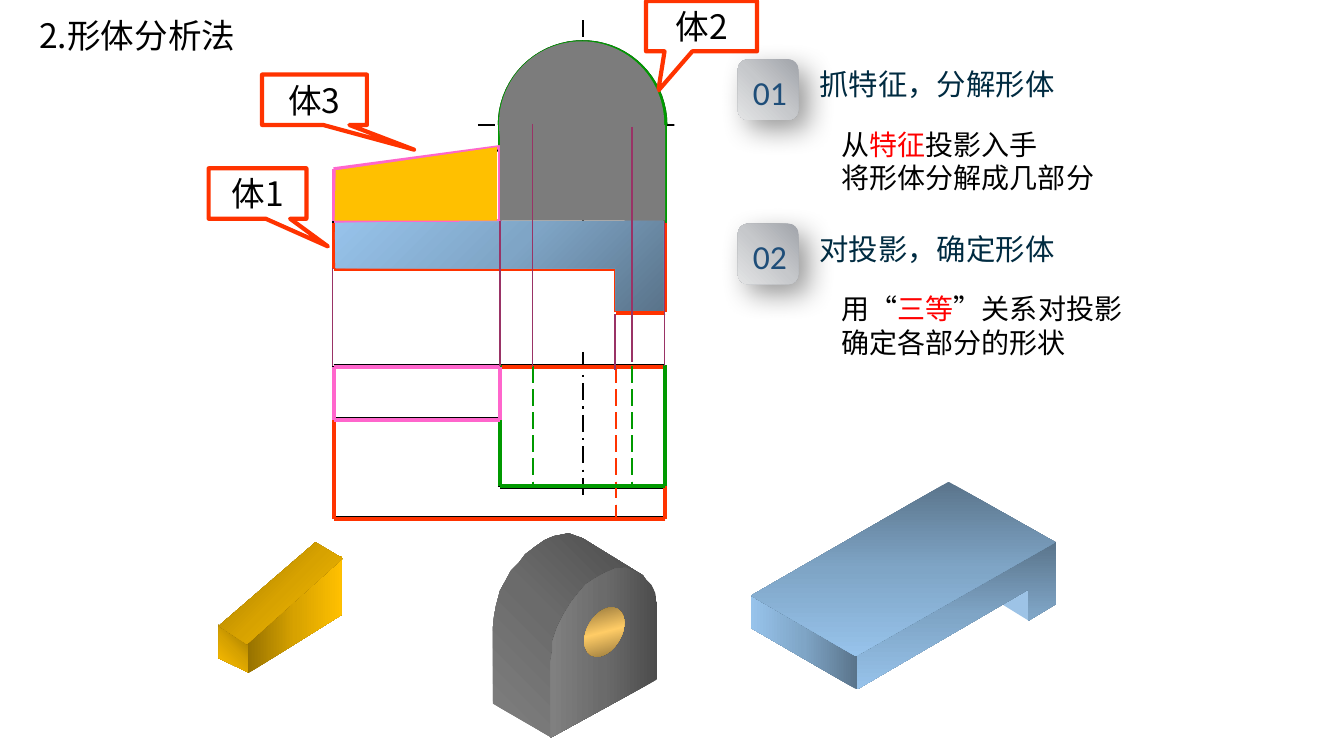
import math
from dataclasses import dataclass
from typing import Any

import pptx
import pptx.dml.color
import pptx.enum.dml
import pptx.enum.shapes
import pptx.enum.text
import pptx.oxml.ns
import pptx.oxml.xmlchemy
import pptx.util

Point = tuple[float, float]
Box = tuple[float, float, float, float]
Line = list[tuple[str, str]]
SHAPE = pptx.enum.shapes.MSO_SHAPE
DASH = pptx.enum.dml.MSO_LINE_DASH_STYLE
ANCHOR = pptx.enum.text.MSO_ANCHOR
ALIGN = pptx.enum.text.PP_ALIGN
FIT = pptx.enum.text.MSO_AUTO_SIZE
qn = pptx.oxml.ns.qn
NAMESPACE = pptx.oxml.ns.nsdecls("a")


@dataclass(frozen=True)
class Gradient:
    colors: tuple[str, str, str]
    angle: int = 0
    focus: str = ""  # sides of the corner a circular gradient starts from


@dataclass(frozen=True)
class Theme:
    ink, paper, keyword, heading, number = "000000", "FFFFFF", "FF0000", "002B41", "1F4E79"
    base, arch, rib, guide, projection = "FF3300", "009900", "FF66CC", "9933FF", "993366"
    arch_fill, rib_fill, notch_fill = "7C7C7C", "FFC000", "9DC3E6"
    grey, gold = ("4C4C4C", "6B6B6B", "808080"), ("977200", "D7A200", "FFC000")
    blue, brass = ("5A748B", "7FA5C6", "97C3EB"), ("765E2F", "FFCC66", "765E2F")
    silver = ("A1A4AA", "C6C8CB", "E3E4E5")
    cjk, latin = "Noto Sans CJK SC", "Calibri"
    title_size, heading_size, body_size = 24, 21, 20
    thick, dashed, thin = 3, 1.5, 1


@dataclass(frozen=True)
class Outline:
    color: str
    chain: list[Point]
    closed: bool = True
    dashes: tuple[float, ...] = ()  # columns of hidden edges
    arc: bool = False
    shift: float = 0  # rows the coloured edges move from the ink


@dataclass(frozen=True)
class Callout:
    text: str
    box: Box
    tip: Point


@dataclass(frozen=True)
class Face:
    points: list[Point]
    fill: str | Gradient


@dataclass(frozen=True)
class Step:
    number: str
    heading: str
    lines: list[Line]


THEME = Theme()
CELL = 0.1  # inches per grid column and row
COLUMNS, ROWS, STEP_PITCH, RADIUS = 133.33, 75, 16.3, 8.2
LEFT, SHELF, HOLE_LEFT, AXIS, NOTCH, HOLE_RIGHT, RIGHT = 33.1, 49.6, 52.9, 57.8, 61.1, 62.7, 66
ARCH, BASE, UNDER, FOOT = 12.4, 22.1, 26.7, 31
BACK, RIB_FRONT, ARCH_FRONT, FRONT = 36.3, 41.6, 48.3, 51.4
VIEWS = [
    Outline(THEME.base, [(LEFT, BASE), (RIGHT, BASE), (RIGHT, FOOT), (NOTCH, FOOT), (NOTCH, UNDER), (LEFT, UNDER)]),
    Outline(THEME.base, [(LEFT, BACK), (RIGHT, BACK), (RIGHT, FRONT), (LEFT, FRONT)], dashes=(NOTCH,), shift=0.1),
    Outline(THEME.arch, [(SHELF, ARCH), (SHELF, BASE), (RIGHT, BASE), (RIGHT, ARCH)], closed=False, arc=True),
    Outline(THEME.arch, [(SHELF, BACK), (SHELF, ARCH_FRONT), (RIGHT, ARCH_FRONT), (RIGHT, BACK)], closed=False,
            dashes=(HOLE_LEFT, HOLE_RIGHT), shift=-0.1),
    Outline(THEME.rib, [(LEFT, 17), (SHELF, 14.8), (SHELF, BASE), (LEFT, BASE)], shift=-0.2),
    Outline(THEME.rib, [(LEFT, BACK), (SHELF, BACK), (SHELF, RIB_FRONT), (LEFT, RIB_FRONT)], shift=0.1)]
CALLOUTS = [Callout("体1", (20.7, 16.7, 9.7, 5), (0.72, 1.05)), Callout("体2", (64.1, 0.1, 11, 5), (-0.39, 1.28)),
            Callout("体3", (26, 7.4, 10.4, 5), (0.95, 0.99))]
ARCH_SOLID = [
    Face([(54.6, 73.1), (48.9, 69.8), (48.9, 62.2), (49, 61.2), (49.2, 60.1), (49.6, 58.6), (50.1, 57.7), (50.7, 56.6),
          (51.5, 55.8), (52.1, 55), (53, 54.3), (54, 53.6), (54.9, 53.2), (56.4, 52.9), (57.8, 53.4), (63.8, 57.1),
          (63, 56.7), (61.8, 56.5), (61, 56.6), (60.3, 57), (59.4, 57.4), (58.6, 58), (58, 58.5), (57.4, 59.3),
          (56.6, 60), (56.1, 60.9), (55.5, 62.1), (55, 63.7), (54.8, 64.8), (54.7, 65.8)],
         Gradient(THEME.grey, focus="lb")),
    Face([(54.6, 73.2), (65.2, 67.4), (65.2, 59.9), (65, 58.8), (64.6, 58), (64.1, 57.5), (63.7, 57), (63.1, 56.7),
          (62.1, 56.3), (61, 56.4), (59.9, 56.9), (59, 57.4), (58.1, 58), (57.5, 58.7), (56.7, 59.7), (55.9, 61),
          (55.3, 62.2), (54.8, 63.7), (54.8, 64.6), (54.6, 65.7)], Gradient(THEME.grey, 180))]
RIB_SOLID = [Face([(33.9, 55.2), (33.9, 61), (24.6, 66.8), (24.6, 63.6)], Gradient(THEME.gold, 0)),
             Face([(21.7, 62), (24.6, 63.8), (24.6, 66.7), (21.7, 65.3)], Gradient(THEME.gold, 135)),
             Face([(21.7, 62.1), (24.5, 63.9), (34, 55.4), (31.3, 53.8)], Gradient(THEME.gold, 45))]
BASE_SOLID = [
    Face([(99.5, 60), (102.1, 61.6), (102.1, 58.4)], THEME.notch_fill),
    Face([(74.5, 59), (85, 65.1), (85, 68.4), (74.5, 62.3)], Gradient(THEME.blue, 180)),
    Face([(85, 64.9), (85, 68.4), (102, 58.5), (102, 61.6), (104.8, 59.9), (104.8, 53.7)], Gradient(THEME.blue, 90)),
    Face([(74.5, 59.1), (94.1, 47.8), (104.7, 53.8), (84.9, 65.1)], Gradient(THEME.blue, 90))]
BASE_FACE = Face([(33.3, 26.6), (33.2, 22.1), (65.8, 21.9), (65.8, 30.8), (61.1, 30.8), (61.1, 26.6)],
                 Gradient(THEME.blue, focus="lt"))
RIB_FACE = Face([(33.3, 16.9), (49.3, 14.6), (49.3, 21.9), (33.2, 21.9)], THEME.rib_fill)
PROJECTIONS = [(33, 26.6, BACK), (61, 31.2, 36.7), (SHELF, 21.9, BACK), (65.9, 21.9, BACK),
               (52.8, 12.3, 36.4), (HOLE_RIGHT, 12.6, 35.9)]
STEPS = [Step("01", "抓特征，分解形体", [[("从", THEME.ink), ("特征", THEME.keyword), ("投影入手", THEME.ink)],
                                 [("将形体分解成几部分", THEME.ink)]]),
         Step("02", "对投影，确定形体", [[("用“", THEME.ink), ("三等", THEME.keyword), ("”关系对投影", THEME.ink)],
                                 [("确定各部分的形状", THEME.ink)]])]


def grid(cells: float) -> int:
    return pptx.util.Inches(round(cells * CELL, 3))


def rgb(color: str) -> pptx.dml.color.RGBColor:
    return pptx.dml.color.RGBColor.from_string(color)


def assign(target: Any, formats: dict[str, Any]) -> None:
    for name, value in formats.items():
        setattr(target, name, value)


def paint(part: Any, fill: str | Gradient | None, edge: str | None = None) -> None:
    part.shadow.inherit = False
    part.line.fill.background()
    if edge:
        part.line.color.rgb = rgb(edge)
        part.line.width = pptx.util.Pt(THEME.thick)
    part.fill.background()
    if isinstance(fill, str):
        part.fill.solid()
        part.fill.fore_color.rgb = rgb(fill)
    elif fill:
        stops = "".join(f'<a:gs pos="{50000 * i}"><a:srgbClr val="{c}"/></a:gs>' for i, c in enumerate(fill.colors))
        sides = " ".join(f'{side}="100000"' for side in fill.focus)
        course = (f'<a:path path="circle"><a:fillToRect {sides}/></a:path>' if sides
                  else f'<a:lin ang="{fill.angle * 60000}" scaled="0"/>')
        props = part.element.spPr
        props.replace(props.find(qn("a:noFill")), pptx.oxml.parse_xml(
            f'<a:gradFill {NAMESPACE} rotWithShape="1"><a:gsLst>{stops}</a:gsLst>{course}</a:gradFill>'))


def draw_line(shapes: Any, start: Point, end: Point, color: str, width: float, dash: Any = None) -> None:
    edge = shapes.add_connector(pptx.enum.shapes.MSO_CONNECTOR.STRAIGHT, *map(grid, start + end))
    edge.line.color.rgb = rgb(color)
    assign(edge.line, {"width": pptx.util.Pt(width), "dash_style": dash})
    edge.element.spPr.append(pptx.oxml.xmlchemy.OxmlElement("a:effectLst"))


def draw_path(shapes: Any, points: list[Point], fill: str | Gradient | None, edge: str | None = None) -> None:
    corners = [(grid(x), grid(y)) for x, y in points]
    builder = shapes.build_freeform(*corners[0])
    builder.add_line_segments(corners[1:], close=fill is not None)
    paint(builder.convert_to_shape(), fill, edge)


def draw_preset(shapes: Any, kind: Any, box: Box, fill: str | Gradient, edge: str | None = None) -> Any:
    part = shapes.add_shape(kind, *map(grid, box))
    paint(part, fill, edge)
    return part


def draw_outline(shapes: Any, view: Outline, color: str, shift: float) -> None:
    chain = [(x, y + shift) for x, y in view.chain]
    for start, end in zip(chain, chain[1:] + chain[:1] * view.closed):
        draw_line(shapes, start, end, color, THEME.thick)
    for column in view.dashes:
        draw_line(shapes, (column, BACK), (column, max(y for _, y in chain)), color, THEME.dashed, DASH.LONG_DASH)
    if view.arc:
        turns = [math.radians(180 + 5 * i) for i in range(37)]
        draw_path(shapes, [(AXIS + RADIUS * math.cos(t), ARCH + RADIUS * math.sin(t)) for t in turns], None, color)


def write(part: Any, lines: list[Line], size: float, font: str = THEME.cjk, wrap: bool = True,
          anchor: Any = ANCHOR.MIDDLE, align: Any = ALIGN.LEFT, fit: Any = FIT.SHAPE_TO_FIT_TEXT) -> None:
    frame = part.text_frame
    assign(frame, {"word_wrap": wrap, "vertical_anchor": anchor, "auto_size": fit})
    for i, line in enumerate(lines):
        paragraph = frame.add_paragraph() if i else frame.paragraphs[0]
        assign(paragraph, {"alignment": align, "line_spacing": 1.0, "space_before": pptx.util.Pt(0)})
        props = paragraph._p.get_or_add_pPr()
        props.attrib.update({"marL": "0", "indent": "0"})
        props.append(pptx.oxml.xmlchemy.OxmlElement("a:buNone"))
        for text, color in line:
            run = paragraph.add_run()
            run.text = text
            assign(run.font, {"size": pptx.util.Pt(size), "name": font})
            run.font.color.rgb = rgb(color)
            run.font._element.find(qn("a:latin")).addnext(
                pptx.oxml.parse_xml(f'<a:ea {NAMESPACE} typeface="{font}"/>'))


def draw_step(shapes: Any, step: Step, body: Any, drop: float) -> None:
    badge = draw_preset(shapes, SHAPE.ROUNDED_RECTANGLE, (73.2, 5.9 + drop, 6, 6), Gradient(THEME.silver, 135))
    badge.element.spPr.find(qn("a:effectLst")).append(pptx.oxml.parse_xml(
        f'<a:outerShdw {NAMESPACE} blurRad="254000" dist="127000" dir="2700000" algn="tl" rotWithShape="0">'
        f'<a:srgbClr val="{THEME.ink}"><a:alpha val="40000"/></a:srgbClr></a:outerShdw>'))
    number = shapes.add_textbox(*map(grid, (73.7, 6.6 + drop, 5.4, 5)))
    write(number, [[(step.number, THEME.number)]], THEME.title_size, THEME.latin, wrap=False, anchor=ANCHOR.TOP)
    heading = shapes.add_textbox(*map(grid, (80.3, 6.1 + drop, 27.5, 4.5)))
    write(heading, [[(step.heading, THEME.heading)]], THEME.heading_size, anchor=ANCHOR.TOP)
    place(body, (82.5, 12.1 + drop, 42.7, 7.7))
    write(body, step.lines, THEME.body_size)


def place(part: Any, box: Box) -> None:
    assign(part, dict(zip(("left", "top", "width", "height"), map(grid, box))))


def draw_views(shapes: Any) -> None:
    for column in (33, SHELF):
        draw_line(shapes, (column, BASE), (column, BACK), THEME.guide, THEME.thin)
    for start, end in [((AXIS, 2), (AXIS, 23.7)), ((47.4, ARCH), (68.2, ARCH)), ((AXIS, 34.9), (AXIS, 49.4))]:
        draw_line(shapes, start, end, THEME.ink, THEME.dashed, DASH.LONG_DASH_DOT)
    for view in VIEWS:
        draw_outline(shapes, view, THEME.ink, 0)
    for view in VIEWS:
        draw_outline(shapes.add_group_shape().shapes, view, view.color, view.shift)
    for callout in CALLOUTS:
        label = draw_preset(shapes, SHAPE.RECTANGULAR_CALLOUT, callout.box, THEME.paper, THEME.base)
        for i, reach in enumerate(callout.tip):
            label.adjustments[i] = reach
        write(label, [[(callout.text, THEME.ink)]], THEME.title_size, wrap=False, align=ALIGN.CENTER, fit=FIT.NONE)


def draw_solids(shapes: Any) -> None:
    for solid in (ARCH_SOLID, RIB_SOLID, BASE_SOLID, [BASE_FACE]):
        for face in solid:
            draw_path(shapes, face.points, face.fill)
    draw_preset(shapes, SHAPE.OVAL, (57.3, 61, 5.3, 3.4), Gradient(THEME.brass, 315)).rotation = 300.2
    draw_preset(shapes, SHAPE.OVAL, (49.5, 4.1, 16.4, 16.4), THEME.arch_fill)
    draw_preset(shapes, SHAPE.RECTANGLE, (SHELF, ARCH, 16.4, 9.5), THEME.arch_fill)
    draw_path(shapes, RIB_FACE.points, RIB_FACE.fill)
    for column, top, bottom in PROJECTIONS:
        draw_line(shapes, (column, top), (column, bottom), THEME.projection, THEME.thin)
    draw_preset(shapes, SHAPE.RECTANGLE, (66.9, 11.4, 2.5, 3.3), THEME.paper)


def main() -> None:
    deck = pptx.Presentation()
    assign(deck, {"slide_width": grid(COLUMNS), "slide_height": grid(ROWS)})
    slide = deck.slides.add_slide(deck.slide_layouts.get_by_name("Two Content"))
    title, *bodies = slide.placeholders
    place(title, (2.9, 1, 25.2, 5))
    write(title, [[("2.形体分析法", THEME.ink)]], THEME.title_size)
    draw_views(slide.shapes)
    draw_solids(slide.shapes)
    for i, (step, body) in enumerate(zip(STEPS, bodies)):
        draw_step(slide.shapes, step, body, i * STEP_PITCH)
    deck.save("out.pptx")


if __name__ == "__main__":
    main()
